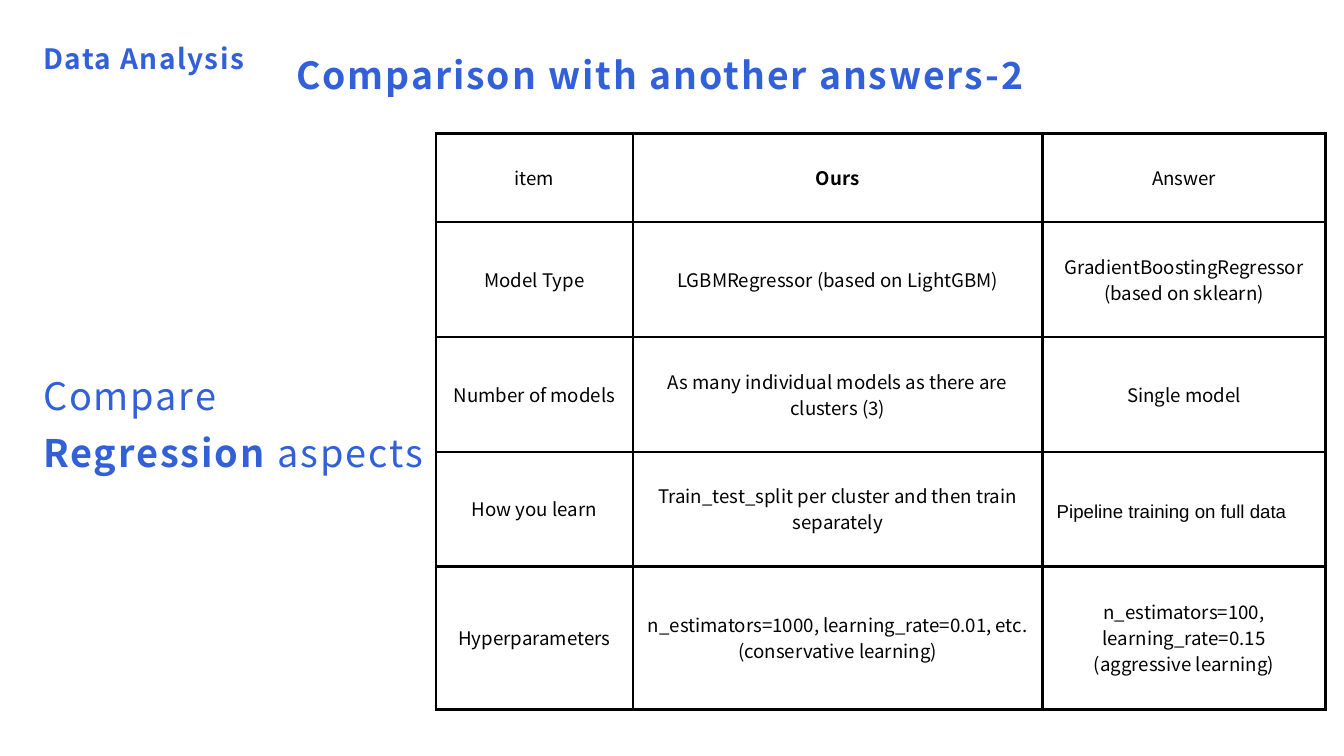
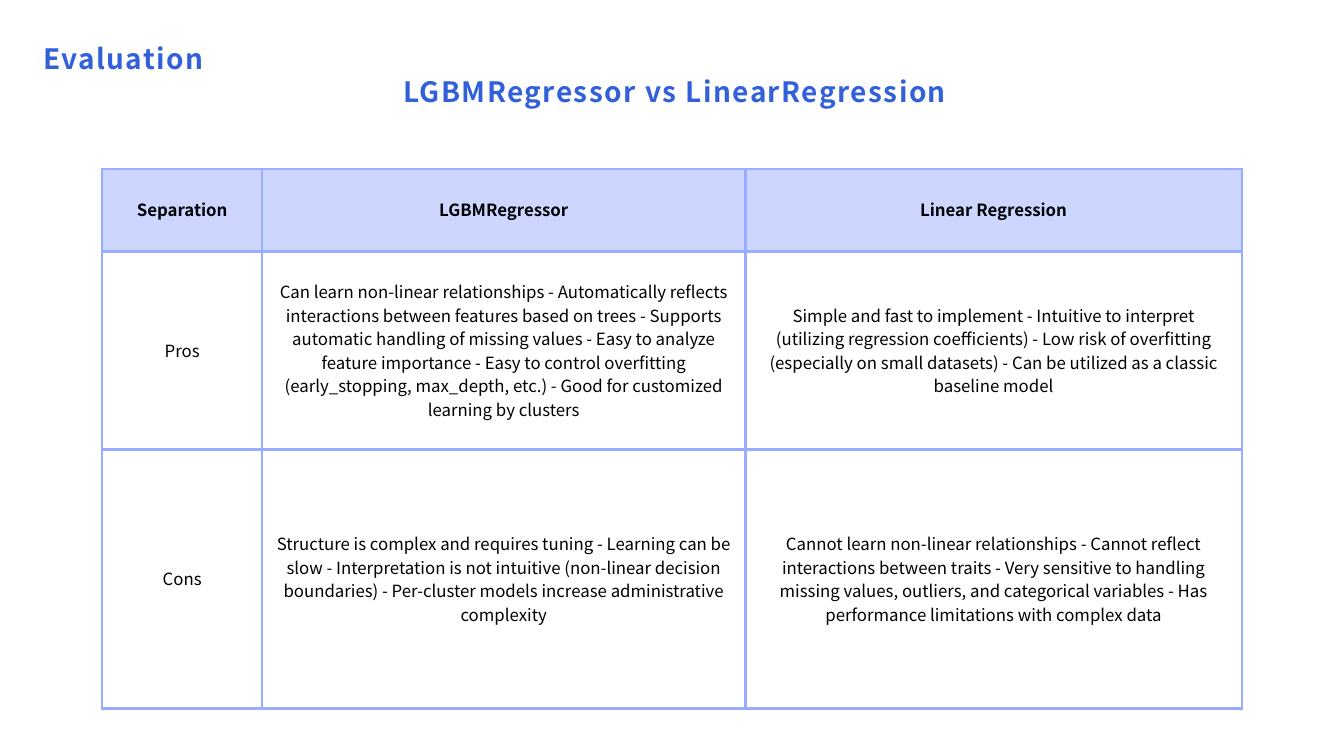
import pptx
import pptx.dml.color
import pptx.enum.text
import pptx.util
import lxml.etree
from pptx.oxml.ns import qn
from pptx.util import Cm

BLUE = "3160D8"
BLACK = "000000"
PERIWINKLE = "99ACFF"
LAVENDER = "CDD6FF"
MAIN_FONT = "Noto Sans CJK SC"
LEFT = pptx.enum.text.PP_ALIGN.LEFT
CENTER = pptx.enum.text.PP_ALIGN.CENTER
TITLE_ONLY = 5
LEFT_MARGIN = 1.63
CELL_MARGIN = Cm(0.53)
BORDER_WIDTH = pptx.util.Pt(3)


def write(paragraph, text, size=30, leading=33, color=BLUE, font=MAIN_FONT,
          bold=False, tracking=0.0, align=LEFT):
    """Append one formatted span to a paragraph."""
    paragraph.alignment = align
    paragraph.line_spacing = pptx.util.Pt(leading)
    span = paragraph.add_run()
    span.text = text
    span.font.size = pptx.util.Pt(size)
    span.font.name = font
    span.font.bold = bold
    span.font.color.rgb = pptx.dml.color.RGBColor.from_string(color)
    if tracking:
        span.font._element.set("spc", str(round(tracking * 100)))


def prepare(shape, left, top, width, height):
    """Place a text shape, remove its margins and return its first paragraph."""
    shape.left, shape.top = Cm(left), Cm(top)
    shape.width, shape.height = Cm(width), Cm(height)
    frame = shape.text_frame
    frame.margin_left = frame.margin_right = 0
    frame.margin_top = frame.margin_bottom = 0
    frame.word_wrap = True
    frame.auto_size = pptx.enum.text.MSO_AUTO_SIZE.NONE
    frame.vertical_anchor = pptx.enum.text.MSO_ANCHOR.TOP
    return frame.paragraphs[0]


# Content of the two slides
pages = [
    {
        "section": "Data Analysis",
        "title": "Comparison with another answers-2",
        "title_place": (11.13, 2.13, 27.66, 1.57),
        "title_format": {"size": 40, "leading": 44, "tracking": 2.1},
        "table_place": (16.48, 5.05),
        "columns": [7.44, 15.49, 10.69],
        "heights": [3.35, 4.34, 4.34, 4.34, 5.41],
        "border": BLACK,
        "header_fill": None,
        "cell_format": {"size": 20, "leading": 28},
        "bold_cells": ["Ours"],
        "rows": [
            ["item", "Ours", "Answer"],
            ["Model Type", "LGBMRegressor (based on LightGBM)",
             "GradientBoostingRegressor (based on sklearn)"],
            ["Number of models",
             "As many individual models as there are clusters (3)",
             "Single model"],
            ["How you learn",
             "Train_test_split per cluster and then train separately",
             "Pipeline training on full data"],
            ["Hyperparameters",
             "n_estimators=1000, learning_rate=0.01, etc. (conservative learning)",
             "n_estimators=100, learning_rate=0.15 (aggressive learning)"],
        ],
    },
    {
        "section": "Evaluation",
        "title": "LGBMRegressor vs LinearRegression",
        "title_place": (15.08, 2.92, 20.88, 1.22),
        "title_format": {"size": 30, "leading": 33, "tracking": 1.6},
        "table_place": (3.86, 6.38),
        "columns": [6.05, 18.26, 18.77],
        "heights": [3.12, 7.49, 9.8],
        "border": PERIWINKLE,
        "header_fill": LAVENDER,
        "cell_format": {"size": 18, "leading": 25.2},
        "bold_cells": ["Separation", "LGBMRegressor", "Linear Regression"],
        "rows": [
            ["Separation", "LGBMRegressor", "Linear Regression"],
            ["Pros",
             "Can learn non-linear relationships - Automatically reflects "
             "interactions between features based on trees - Supports automatic "
             "handling of missing values - Easy to analyze feature importance - "
             "Easy to control overfitting (early_stopping, max_depth, etc.) - "
             "Good for customized learning by clusters",
             "Simple and fast to implement - Intuitive to interpret (utilizing "
             "regression coefficients) - Low risk of overfitting (especially on "
             "small datasets) - Can be utilized as a classic baseline model"],
            ["Cons",
             "Structure is complex and requires tuning - Learning can be slow - "
             "Interpretation is not intuitive (non-linear decision boundaries) - "
             "Per-cluster models increase administrative complexity",
             "Cannot learn non-linear relationships - Cannot reflect interactions "
             "between traits - Very sensitive to handling missing values, outliers, "
             "and categorical variables - Has performance limitations with complex "
             "data"],
        ],
    },
]
# Cells that depart from the centred main font
special_formats = {"Pipeline training on full data": {"font": "Arial", "align": LEFT}}

deck = pptx.Presentation()
deck.slide_width, deck.slide_height = Cm(50.8), Cm(28.58)

for page in pages:
    slide = deck.slides.add_slide(deck.slide_layouts[TITLE_ONLY])

    # Title and section name
    title = prepare(slide.shapes.title, *page["title_place"])
    write(title, page["title"], bold=True, align=CENTER, **page["title_format"])
    section_box = slide.shapes.add_textbox(0, 0, 0, 0)
    section = prepare(section_box, LEFT_MARGIN, 1.68, 7.7, 1.22)
    write(section, page["section"], bold=True, tracking=1.6)

    # Table grid
    left, top = page["table_place"]
    table = slide.shapes.add_table(
        len(page["rows"]), len(page["columns"]), Cm(left), Cm(top),
        Cm(sum(page["columns"])), Cm(sum(page["heights"]))).table
    table.first_row = table.horz_banding = False
    for column, width in zip(table.columns, page["columns"]):
        column.width = Cm(width)
    for row, height in zip(table.rows, page["heights"]):
        row.height = Cm(height)

    # Table cells
    for row_number, texts in enumerate(page["rows"]):
        for column_number, text in enumerate(texts):
            cell = table.cell(row_number, column_number)
            cell.margin_left = cell.margin_right = CELL_MARGIN
            cell.margin_top = cell.margin_bottom = CELL_MARGIN
            cell.vertical_anchor = pptx.enum.text.MSO_ANCHOR.MIDDLE
            properties = cell._tc.get_or_add_tcPr()
            for side in ("a:lnL", "a:lnR", "a:lnT", "a:lnB"):
                line = lxml.etree.SubElement(properties, qn(side), w=str(BORDER_WIDTH))
                solid = lxml.etree.SubElement(line, qn("a:solidFill"))
                lxml.etree.SubElement(solid, qn("a:srgbClr"), val=page["border"])
            if row_number == 0 and page["header_fill"]:
                cell.fill.solid()
                cell.fill.fore_color.rgb = pptx.dml.color.RGBColor.from_string(
                    page["header_fill"])
            else:
                cell.fill.background()
            cell_format = {"align": CENTER, **page["cell_format"],
                           **special_formats.get(text, {})}
            write(cell.text_frame.paragraphs[0], text, color=BLACK,
                  bold=text in page["bold_cells"], **cell_format)

# Side heading of the first slide
heading_box = deck.slides[0].shapes.add_textbox(0, 0, 0, 0)
heading = prepare(heading_box, LEFT_MARGIN, 13.67, 15.24, 4.14)
heading_format = {"size": 40.6, "leading": 61, "tracking": 2.1}
write(heading, "Compare", **heading_format)
second_line = heading_box.text_frame.add_paragraph()
write(second_line, "Regression", bold=True, **heading_format)
write(second_line, " aspects", **heading_format)

deck.save("out.pptx")
